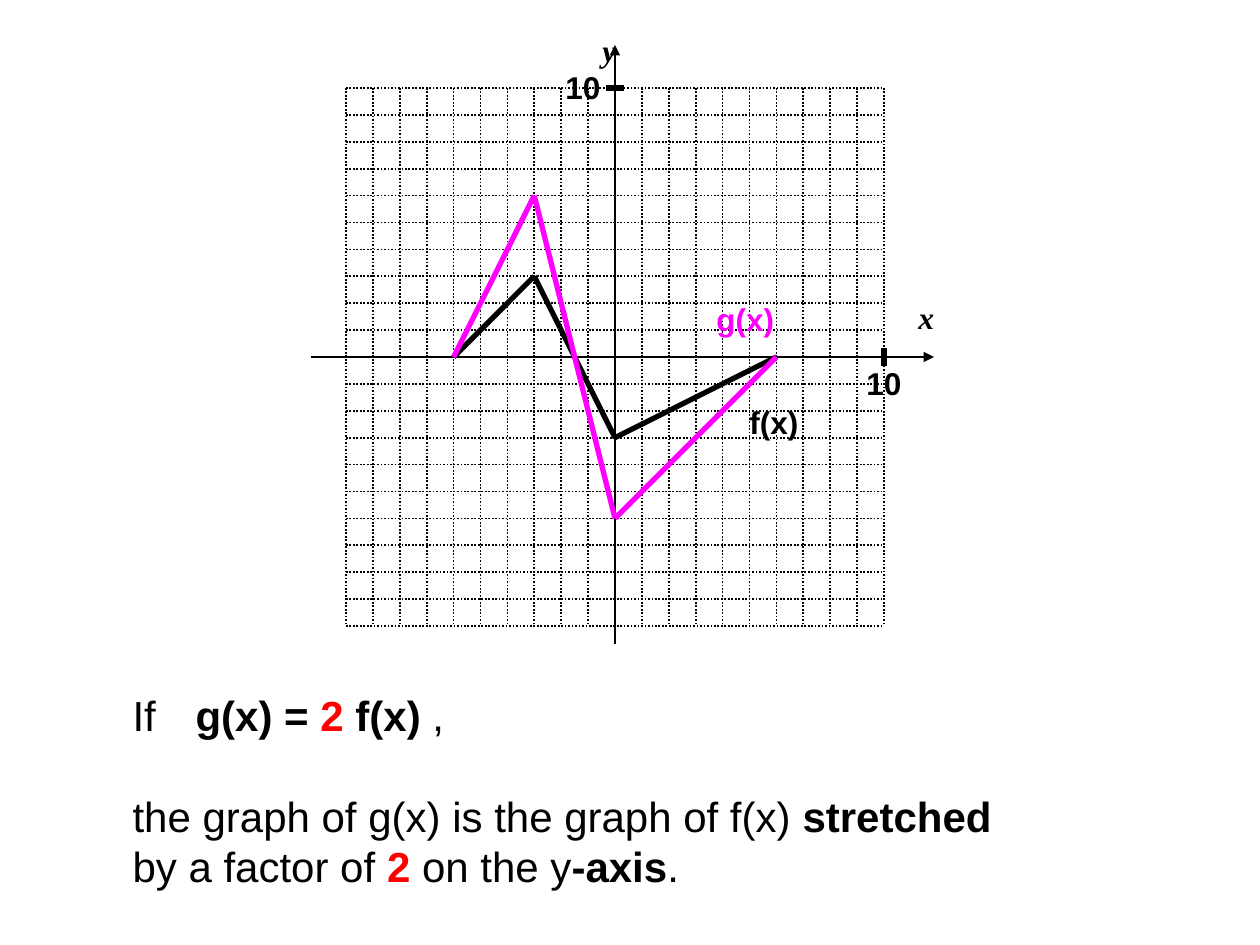
"""Build a slide showing a graph stretched by a factor of 2 on the y-axis."""
from dataclasses import dataclass

from lxml import etree
from pptx import Presentation, util as u
from pptx.dml.color import RGBColor
from pptx.enum import dml, shapes, text
from pptx.oxml.ns import qn


@dataclass(frozen=True)
class Theme:
    ink: str = "000000"
    stretched: str = "FF00FF"
    accent: str = "FF0000"
    sans: str = "Arial"
    serif: str = "Times New Roman"
    label_size: int = 18
    body_size: int = 24
    body_leading: float = 28.8
    thin: float = 0.75
    dotted: float = 1
    thick: float = 3


THEME = Theme()
SCALE = 914400 / 126
ORIGIN_X, ORIGIN_Y = 615, 357
LIMIT = 10
CELL = 538 / (2 * LIMIT)
TICK = 9
LABEL_HEIGHT = 50

F_POINTS = [(-6, 0), (-3, 3), (0, -3), (6, 0)]
G_POINTS = [(x, 2 * y) for x, y in F_POINTS]

LABELS = [
    ("y", 590, 25, 39, THEME.serif, THEME.ink),
    ("x", 906, 292, 40, THEME.serif, THEME.ink),
    ("10", 854, 358, 60, THEME.sans, THEME.ink),
    ("10", 553, 62, 60, THEME.sans, THEME.ink),
    ("f(x)", 737, 397, 74, THEME.sans, THEME.ink),
    ("g(x)", 704, 294, 83, THEME.sans, THEME.stretched),
]

BODY_BOX = (120, 683, 900, 214)
BODY_TAB = 94
PLAIN, BOLD, ACCENT = (False, THEME.ink), (True, THEME.ink), (True, THEME.accent)
STATEMENT = [
    [("If\t", PLAIN), ("g(x) = ", BOLD), ("2", ACCENT), (" f(x)", BOLD), (" ,", PLAIN)],
    [("the graph of g(x) is the graph of f(x) ", PLAIN), ("stretched", BOLD)],
    [("by a factor of ", PLAIN), ("2", ACCENT), (" on the y", PLAIN),
     ("-axis", BOLD), (".", PLAIN)],
]


def px(value):
    return u.Emu(round(value * SCALE))


def on_grid(x, y):
    return ORIGIN_X + x * CELL, ORIGIN_Y - y * CELL


def add_line(parent, start, end, width, color=THEME.ink, dash=None, arrow=False):
    connector = parent.add_connector(
        shapes.MSO_CONNECTOR.STRAIGHT, *map(px, (*start, *end)))
    connector.line.color.rgb = RGBColor.from_string(color)
    connector.line.width = u.Pt(width)
    if dash:
        connector.line.dash_style = dash
    properties = connector.element.spPr
    if arrow:
        etree.SubElement(properties.find(qn("a:ln")), qn("a:headEnd"), type="triangle")
    etree.SubElement(properties, qn("a:effectLst"))


def add_curve(parent, points, color):
    for start, end in zip(points, points[1:]):
        add_line(parent, on_grid(*start), on_grid(*end), THEME.thick, color)


def add_grid(parent):
    dash = dml.MSO_LINE.ROUND_DOT
    for step in range(-LIMIT, LIMIT + 1):
        add_line(parent, on_grid(step, LIMIT), on_grid(step, -LIMIT), THEME.dotted, dash=dash)
        add_line(parent, on_grid(-LIMIT, step), on_grid(LIMIT, step), THEME.dotted, dash=dash)


def add_axes(parent):
    add_line(parent, (ORIGIN_X, 45), (ORIGIN_X, 644), THEME.thin, arrow=True)
    add_line(parent, (934, ORIGIN_Y), (311, ORIGIN_Y), THEME.thin, arrow=True)
    x, y = on_grid(LIMIT, LIMIT)
    add_line(parent, (x, ORIGIN_Y - TICK), (x, ORIGIN_Y + TICK), THEME.thick)
    add_line(parent, (ORIGIN_X - TICK, y), (ORIGIN_X + TICK, y), THEME.thick)


def add_label(parent, wording, left, top, width, font_name, color):
    box = parent.add_textbox(*map(px, (left, top, width, LABEL_HEIGHT)))
    box.text_frame.word_wrap = False
    paragraph = box.text_frame.paragraphs[0]
    paragraph.text = wording
    font = paragraph.font
    font.name, font.size, font.bold = font_name, u.Pt(THEME.label_size), True
    font.italic = font_name == THEME.serif
    font.color.rgb = RGBColor.from_string(color)


def fill_statement(body):
    body.left, body.top, body.width, body.height = map(px, BODY_BOX)
    frame = body.text_frame
    frame.word_wrap = True
    frame.auto_size = text.MSO_AUTO_SIZE.NONE
    for index, runs in enumerate(STATEMENT):
        paragraph = frame.add_paragraph() if index else frame.paragraphs[0]
        paragraph.line_spacing = u.Pt(THEME.body_leading)
        paragraph.space_before = u.Pt(THEME.body_leading if index == 1 else 0)
        paragraph.font.name = THEME.sans
        paragraph.font.size = u.Pt(THEME.body_size)
        properties = paragraph._p.get_or_add_pPr()
        properties.set("marL", "0")
        properties.set("indent", "0")
        bullet = etree.Element(qn("a:buNone"))
        tabs = etree.Element(qn("a:tabLst"))
        etree.SubElement(tabs, qn("a:tab"), pos=str(px(BODY_TAB)), algn="l")
        defaults = properties.find(qn("a:defRPr"))
        defaults.addprevious(bullet)
        defaults.addprevious(tabs)
        for wording, (bold, color) in runs:
            run = paragraph.add_run()
            run.text = wording
            run.font.bold = bold
            run.font.color.rgb = RGBColor.from_string(color)


def main():
    presentation = Presentation()
    presentation.slide_width, presentation.slide_height = u.Inches(10), u.Inches(7.5)
    slide = presentation.slides.add_slide(presentation.slide_layouts[1])
    title = slide.shapes.title.element
    title.getparent().remove(title)

    add_curve(slide.shapes.add_group_shape().shapes, F_POINTS, THEME.ink)
    add_grid(slide.shapes.add_group_shape().shapes)
    add_axes(slide.shapes)
    add_curve(slide.shapes, G_POINTS, THEME.stretched)
    for label in LABELS:
        add_label(slide.shapes, *label)
    fill_statement(slide.placeholders[1])
    presentation.save("out.pptx")


if __name__ == "__main__":
    main()
